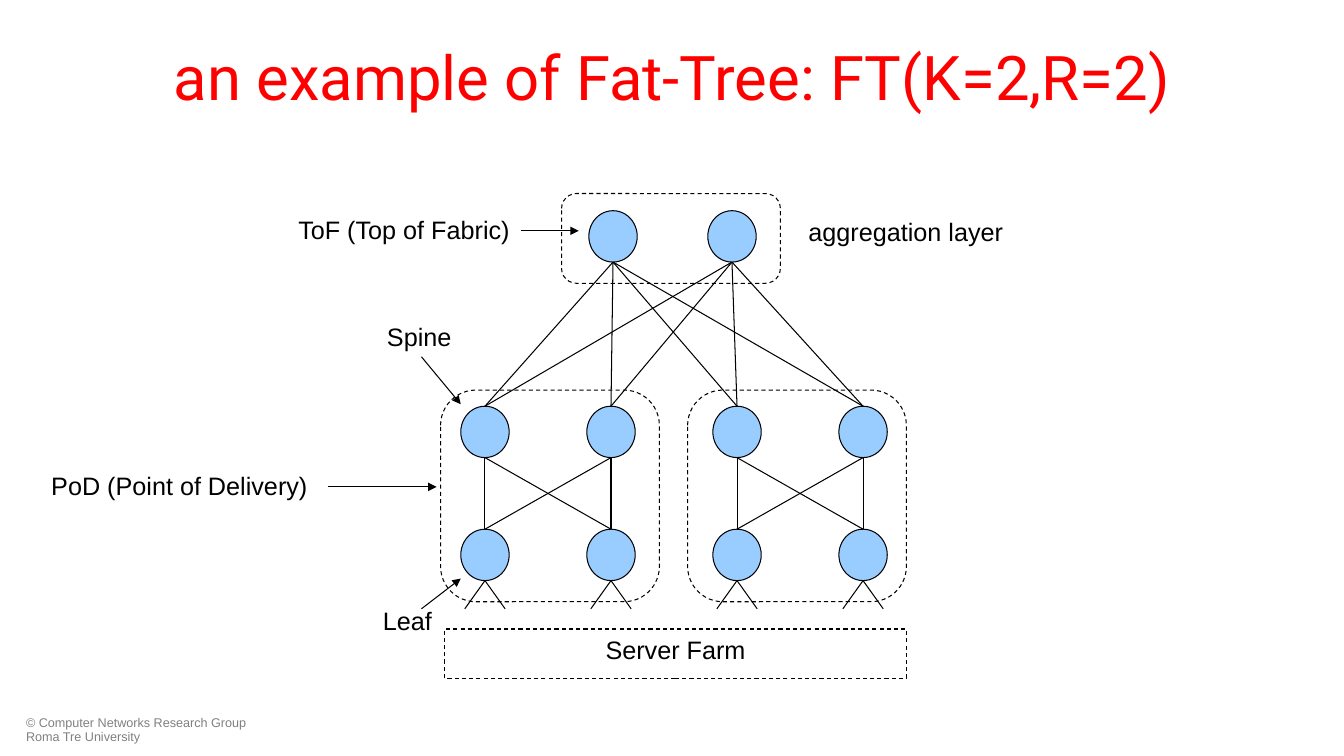
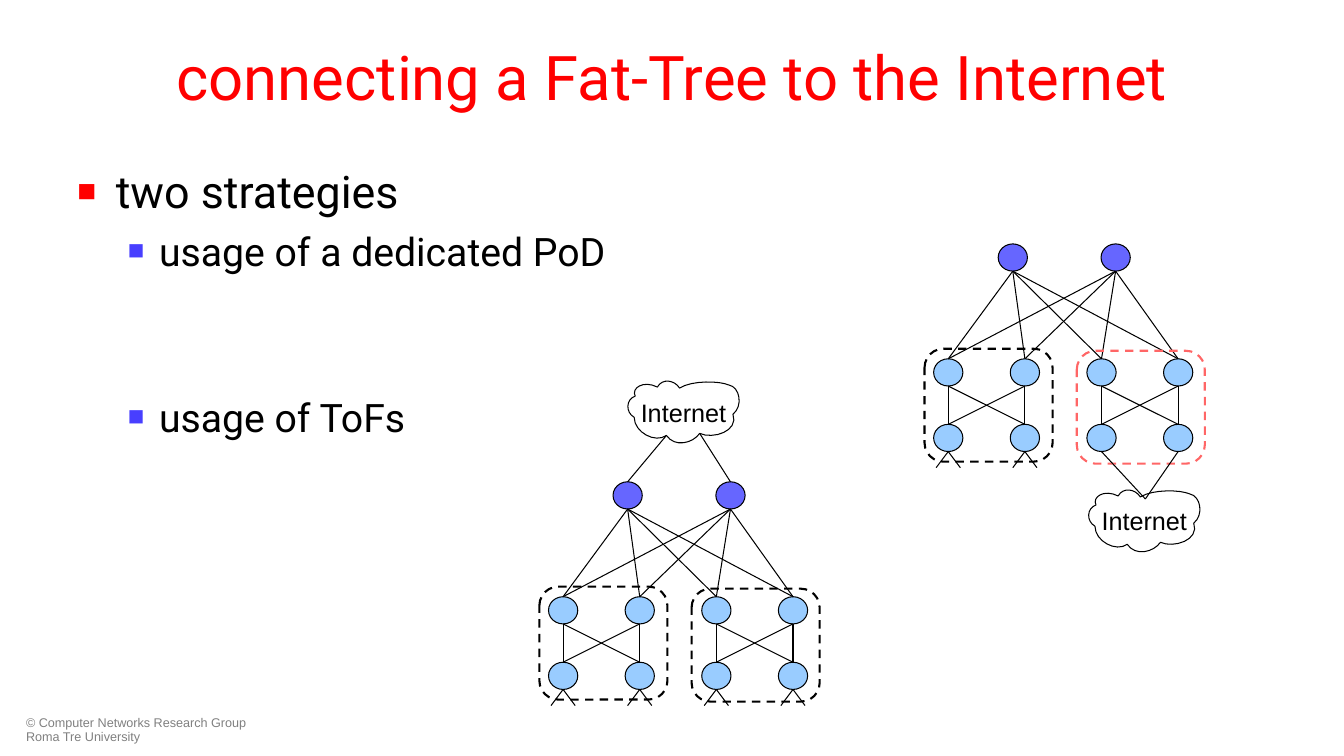
import dataclasses

import pptx
import pptx.dml.color
import pptx.enum.dml
import pptx.enum.shapes
import pptx.enum.text
import pptx.oxml
import pptx.oxml.ns
import pptx.oxml.xmlchemy
import pptx.util

Inches = pptx.util.Inches
Pt = pptx.util.Pt
SHAPE = pptx.enum.shapes.MSO_SHAPE
ALIGN = pptx.enum.text.PP_ALIGN
ANCHOR = pptx.enum.text.MSO_ANCHOR


@dataclasses.dataclass(frozen=True)
class Theme:
    title: str = "FF0000"
    text: str = "000000"
    footer: str = "808080"
    sub_bullet: str = "483FFF"
    node: str = "99CCFF"
    border_node: str = "6666FF"
    border_pod: str = "FF6666"
    paper: str = "FFFFFF"
    heading_font: str = "Roboto"
    label_font: str = "Arial"
    title_size: int = 44
    body_size: int = 32
    sub_size: int = 28
    label_size: int = 18
    footer_size: int = 9
    thin: float = 0.75
    thick: float = 1.5


THEME = Theme()


@dataclasses.dataclass(frozen=True)
class TreeStyle:
    """Sizes of a fat tree in inches, offsets from the first spine's left and the ToF top."""
    node: tuple
    pitch: float
    tof_left: float
    tof_pitch: float
    spine_top: float
    leaf_top: float
    server_spread: float
    server_drop: float
    pod_offset: tuple
    pod_size: tuple
    pod_pitch: float
    pod_step: float
    pod_line: float
    tof_color: str


LARGE_TREE = TreeStyle(
    node=(0.48, 0.51), pitch=1.25, tof_left=1.27, tof_pitch=1.18,
    spine_top=1.94, leaf_top=3.16, server_spread=0.2, server_drop=0.28,
    pod_offset=(-0.2, 1.78), pod_size=(2.17, 2.1), pod_pitch=2.45, pod_step=0,
    pod_line=THEME.thin, tof_color=THEME.node)
SMALL_TREE = TreeStyle(
    node=(0.29, 0.27), pitch=0.76, tof_left=0.64, tof_pitch=1.02,
    spine_top=1.14, leaf_top=1.79, server_spread=0.12, server_drop=0.16,
    pod_offset=(-0.09, 1.04), pod_size=(1.27, 1.12), pod_pitch=1.51, pod_step=0.02,
    pod_line=THEME.thick, tof_color=THEME.border_node)

# Cubic curves around the cloud: two control points and an end point each.
CLOUD_START = (0.09, 0.39)
CLOUD_CURVES = [
    ((0.09, 0.54), (0.3, 0.65), (0.41, 0.57)),
    ((0.49, 0.69), (0.67, 0.65), (0.74, 0.55)),
    ((0.87, 0.61), (1.13, 0.53), (1.07, 0.36)),
    ((1.17, 0.28), (1.14, 0.09), (1.03, 0.07)),
    ((0.94, 0.03), (0.67, 0.02), (0.54, 0.1)),
    ((0.49, 0.02), (0.37, 0), (0.32, 0.09)),
    ((0.18, 0.02), (0.06, 0.1), (0.1, 0.18)),
    ((0.01, 0.21), (0, 0.34), CLOUD_START),
]


def rgb(color):
    return pptx.dml.color.RGBColor.from_string(color)


def add_xml(parent, tag, **attributes):
    child = pptx.oxml.parse_xml(f"<{tag} {pptx.oxml.ns.nsdecls('a')}/>")
    for name, value in attributes.items():
        child.set(name, str(value))
    parent.append(child)
    return child


def write(para, text, font=THEME.label_font, size=THEME.label_size,
          color=THEME.text, align=ALIGN.LEFT):
    para.alignment = align
    span = para.add_run()
    span.text = text
    span.font.name = font
    span.font.size = Pt(size)
    span.font.color.rgb = rgb(color)


def add_text_box(page, left, top, width, height):
    box = page.shapes.add_textbox(*map(Inches, (left, top, width, height)))
    box.text_frame.word_wrap = True
    return box


def add_label(page, text, left, top, width):
    box = add_text_box(page, left, top, width, 0.4)
    write(box.text_frame.paragraphs[0], text)


def paint(shape, fill=None, line=THEME.text, weight=THEME.thin, dashed=False):
    shape.shadow.inherit = False
    if fill:
        shape.fill.solid()
        shape.fill.fore_color.rgb = rgb(fill)
    else:
        shape.fill.background()
    shape.line.color.rgb = rgb(line)
    shape.line.width = Pt(weight)
    if dashed:
        shape.line.dash_style = pptx.enum.dml.MSO_LINE.DASH


def add_shape(page, kind, left, top, width, height, **look):
    shape = page.shapes.add_shape(kind, *map(Inches, (left, top, width, height)))
    paint(shape, **look)
    return shape


def add_line(page, start, end, arrow=False):
    line = page.shapes.add_connector(
        pptx.enum.shapes.MSO_CONNECTOR.STRAIGHT, *map(Inches, (*start, *end)))
    line.line.color.rgb = rgb(THEME.text)
    line.line.width = Pt(THEME.thin)
    properties = line.element.spPr
    if arrow:
        add_xml(properties.find(pptx.oxml.ns.qn("a:ln")), "a:tailEnd", type="triangle")
    add_xml(properties, "a:effectLst")
    return line


def top_of(node):
    return node.left.inches + node.width.inches / 2, node.top.inches


def bottom_of(node):
    x, y = top_of(node)
    return x, y + node.height.inches


def link_rows(page, upper_nodes, lower_nodes):
    """Join every upper node to every lower one."""
    for upper in upper_nodes:
        for lower in lower_nodes:
            add_line(page, bottom_of(upper), top_of(lower)).end_connect(lower, 0)


def add_nodes(page, left, top, count, pitch, size, color):
    return [add_shape(page, SHAPE.OVAL, left + index * pitch, top, *size, fill=color)
            for index in range(count)]


def add_server_links(page, leaf, style):
    x, y = bottom_of(leaf)
    for side in (-1, 1):
        add_line(page, (x, y), (x + side * style.server_spread, y + style.server_drop))


def add_fat_tree(page, left, top, style, pod_colors=(THEME.text, THEME.text), server_pods=2):
    """Draw two ToFs over two PoDs; return the ToFs and the leaves."""
    tofs = add_nodes(page, left + style.tof_left, top, 2, style.tof_pitch,
                     style.node, style.tof_color)
    spines, leaves = [
        add_nodes(page, left, top + row_top, 4, style.pitch, style.node, THEME.node)
        for row_top in (style.spine_top, style.leaf_top)]
    link_rows(page, tofs, spines)
    for index, color in enumerate(pod_colors):
        members = slice(2 * index, 2 * index + 2)
        link_rows(page, spines[members], leaves[members])
        if index < server_pods:
            for leaf in leaves[members]:
                add_server_links(page, leaf, style)
        add_shape(page, SHAPE.ROUNDED_RECTANGLE,
                  left + style.pod_offset[0] + index * style.pod_pitch,
                  top + style.pod_offset[1] + index * style.pod_step,
                  *style.pod_size, line=color, weight=style.pod_line, dashed=True)
    return tofs, leaves


def cloud_outline(steps=8):
    """Yield points along the cloud's curves."""
    start = CLOUD_START
    for first, second, end in CLOUD_CURVES:
        for step in range(1, steps + 1):
            t = step / steps
            weights = ((1 - t) ** 3, 3 * t * (1 - t) ** 2, 3 * t ** 2 * (1 - t), t ** 3)
            yield tuple(sum(weight * point[axis] for weight, point
                            in zip(weights, (start, first, second, end)))
                        for axis in (0, 1))
        start = end


def add_cloud(page, left, top, text):
    points = [(Inches(left + x), Inches(top + y)) for x, y in cloud_outline()]
    builder = page.shapes.build_freeform(*points[-1])
    builder.add_line_segments(points, close=True)
    cloud = builder.convert_to_shape()
    paint(cloud, fill=THEME.paper)
    frame = cloud.text_frame
    frame.word_wrap = False
    frame.vertical_anchor = ANCHOR.MIDDLE
    frame.margin_left = frame.margin_right = frame.margin_top = frame.margin_bottom = 0
    write(frame.paragraphs[0], text, align=ALIGN.CENTER)


def add_page(deck, title_text):
    page = deck.slides.add_slide(deck.slide_layouts[5])
    title = page.shapes.title
    title.left, title.top, title.width, title.height = map(Inches, (0.67, 0.13, 12, 1.25))
    title.text_frame.vertical_anchor = ANCHOR.MIDDLE
    title.text_frame.auto_size = pptx.enum.text.MSO_AUTO_SIZE.NONE
    write(title.text_frame.paragraphs[0], title_text, font=THEME.heading_font,
          size=THEME.title_size, color=THEME.title, align=ALIGN.CENTER)
    footer = add_text_box(page, 0.16, 7.06, 2.49, 0.36).text_frame.paragraphs[0]
    footer.line_spacing = 0.9
    write(footer, "© Computer Networks Research Group Roma Tre University",
          size=THEME.footer_size, color=THEME.footer)
    return page


def add_bullets(page, left, top, width, height, items):
    """Write items of (text, level, space before in points)."""
    looks = [(0.38, -0.38, THEME.title, THEME.body_size),
             (0.81, -0.31, THEME.sub_bullet, THEME.sub_size)]
    frame = add_text_box(page, left, top, width, height).text_frame
    for index, (text, level, space) in enumerate(items):
        para = frame.add_paragraph() if index else frame.paragraphs[0]
        margin, indent, color, size = looks[level]
        para.level = level
        if space:
            para.space_before = Pt(space)
        properties = para._p.get_or_add_pPr()
        properties.set("marL", str(Inches(margin)))
        properties.set("indent", str(Inches(indent)))
        add_xml(add_xml(properties, "a:buClr"), "a:srgbClr", val=color)
        add_xml(properties, "a:buSzPct", val=70000)
        add_xml(properties, "a:buFont", typeface=THEME.label_font)
        add_xml(properties, "a:buChar", char="■")
        write(para, text, font=THEME.heading_font, size=size)


def build_example_page(deck):
    page = add_page(deck, "an example of Fat-Tree: FT(K=2,R=2)")
    add_fat_tree(page, 4.57, 2.09, LARGE_TREE)
    add_shape(page, SHAPE.ROUNDED_RECTANGLE, 5.57, 1.92, 2.17, 0.89, dashed=True)
    farm = add_shape(page, SHAPE.RECTANGLE, 4.41, 6.24, 4.58, 0.49, dashed=True)
    farm.text_frame.vertical_anchor = ANCHOR.TOP
    write(farm.text_frame.paragraphs[0], "Server Farm", align=ALIGN.CENTER)
    for text, left, top, width in [
            ("ToF (Top of Fabric)", 2.86, 2.08, 2.68),
            ("aggregation layer", 7.92, 2.1, 2.46),
            ("Spine", 3.74, 3.14, 1),
            ("PoD (Point of Delivery)", 0.41, 4.62, 3.48),
            ("Leaf", 3.7, 5.96, 0.8)]:
        add_label(page, text, left, top, width)
    for start, end in [((5.17, 2.29), (5.74, 2.29)), ((4.18, 3.54), (4.57, 4.01)),
                       ((3.25, 4.83), (4.33, 4.83)), ((4.18, 6.04), (4.57, 5.74))]:
        add_line(page, start, end, arrow=True)


def build_internet_page(deck):
    page = add_page(deck, "connecting a Fat-Tree to the Internet")
    add_bullets(page, 0.67, 1.57, 12, 5.15, [
        ("two strategies", 0, 0),
        ("usage of a dedicated PoD", 1, 7),
        ("usage of ToFs", 1, 85)])

    tofs, _ = add_fat_tree(page, 5.44, 4.78, SMALL_TREE)
    add_cloud(page, 6.2, 3.75, "Internet")
    for tof, cloud_point in zip(tofs, [(6.61, 4.32), (6.94, 4.3)]):
        add_line(page, top_of(tof), cloud_point).begin_connect(tof, 0)

    _, leaves = add_fat_tree(page, 9.26, 2.42, SMALL_TREE, server_pods=1,
                             pod_colors=(THEME.text, THEME.border_pod))
    add_cloud(page, 10.77, 4.83, "Internet")
    for leaf in leaves[2:]:
        add_line(page, bottom_of(leaf), (11.36, 4.95))


def main():
    deck = pptx.Presentation()
    deck.slide_width, deck.slide_height = Inches(13.33), Inches(7.5)
    build_example_page(deck)
    build_internet_page(deck)
    deck.save("out.pptx")


if __name__ == "__main__":
    main()
